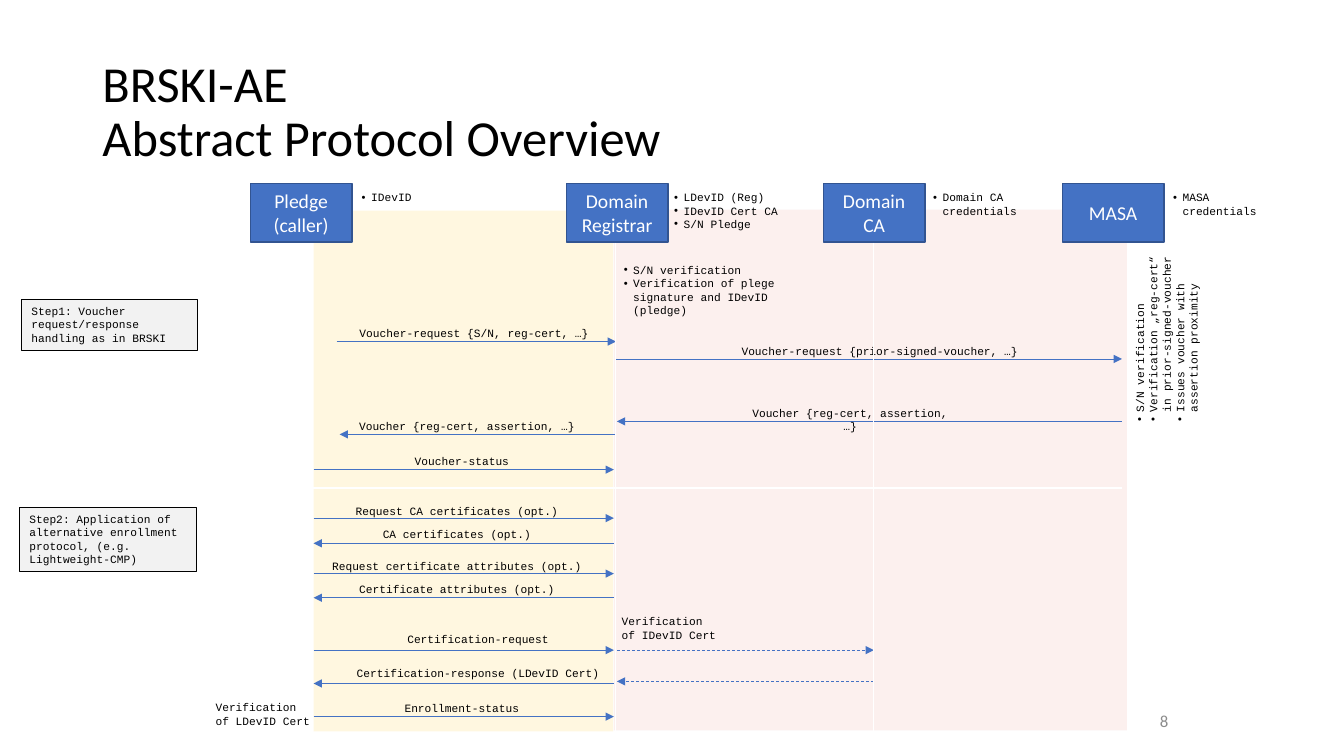
"""Build the BRSKI-AE abstract protocol overview slide."""
from copy import deepcopy
from dataclasses import dataclass

from pptx import Presentation
from pptx.dml.color import RGBColor
from pptx.enum.dml import MSO_LINE
from pptx.enum.shapes import MSO_CONNECTOR as Connector, MSO_SHAPE as Preset
from pptx.enum.text import MSO_ANCHOR as Anchor, MSO_AUTO_SIZE as AutoSize, PP_ALIGN as Align
from pptx.oxml.ns import qn
from pptx.oxml.xmlchemy import OxmlElement
from pptx.shapes.autoshape import Shape
from pptx.slide import Slide
from pptx.text.text import TextFrame
from pptx.util import Pt

BLUE, WHITE, BLACK = "4472C4", "FFFFFF", "000000"
PLEDGE, REGISTRAR, DOMAIN_CA, MASA = 224, 438.5, 624.2, 801.4
REGISTRAR_EDGE = 440.6
SIDE_LABEL_CENTER, ENROLL_CENTER, STATUS_CENTER = 341.6, 326.5, 330


@dataclass
class Lane:
    left: float
    top: float
    width: float
    height: float
    color: str
    opacity: int


@dataclass
class Actor:
    name: str
    left: float


@dataclass
class Note:
    text: str
    left: float
    top: float
    width: float
    height: float
    bulleted: bool = True
    rotation: int = 0


@dataclass
class Message:
    start: float
    end: float
    y: float
    label: str = ""
    center: float = 0
    rise: float = 14.4
    width: float = 202
    dashed: bool = False


@dataclass
class Rule:
    x1: float
    y1: float
    x2: float
    y2: float
    weight: float


LANES = [
    Lane(REGISTRAR, 149.8, 366.5, 372, "F9D9D3", 38),
    Lane(PLEDGE, 150.5, 214, 372, "FFF2CC", 60),
]
ACTORS = [
    Actor("Pledge (caller)", 178.9),
    Actor("Domain Registrar", 404.6),
    Actor("Domain\vCA", 588.2),
    Actor("MASA", 758.9),
]
NOTES = [
    Note("IDevID", 251.3, 132.5, 102, 17),
    Note("LDevID (Reg)\nIDevID Cert CA\nS/N Pledge", 474.5, 132.5, 124, 36),
    Note("Domain CA credentials", 659.5, 132.5, 95, 27),
    Note("MASA credentials", 830.9, 132.5, 77, 27),
    Note("S/N verification\nVerification of plege signature and IDevID (pledge)",
         438.5, 184.3, 143.3, 46),
    Note("S/N verification\nVerification „reg-cert“ in prior-signed-voucher\n"
         "Issues voucher with assertion proximity", 762.5, 209.5, 141.8, 55.4, rotation=270),
    Note("Verification of LDevID Cert", 146.9, 496.8, 82, 27, bulleted=False),
    Note("Verification of IDevID Cert", 437, 435.6, 82, 27, bulleted=False),
]
STEPS = [
    Note("Step1: Voucher request/response handling as in BRSKI",
         15.3, 213.8, 125.5, 36.4, bulleted=False),
    Note("Step2: Application of alternative enrollment protocol, (e.g. Lightweight-CMP)",
         13.9, 362.3, 126.2, 46, bulleted=False),
]
MESSAGES = [
    Message(240.5, 440, 244, "Voucher-request {S/N, reg-cert, …}", 338.8),
    Message(440, MASA, 256.4, "Voucher-request {prior-signed-voucher, …}", 628.6, 13.7, 242),
    Message(MASA, REGISTRAR_EDGE, 301, "Voucher {reg-cert, assertion, …}", 607.3, width=167.5),
    Message(440, 242.6, 310.3, "Voucher {reg-cert, assertion, …}", 333.7),
    Message(PLEDGE, REGISTRAR, 335.5, "Voucher-status", STATUS_CENTER),
    Message(PLEDGE, REGISTRAR, 370.1, "Request CA certificates (opt.)", ENROLL_CENTER, 13.7),
    Message(REGISTRAR, PLEDGE, 388.1, "CA certificates (opt.)", ENROLL_CENTER, 15.1),
    Message(PLEDGE, REGISTRAR, 409.7, "Request certificate attributes (opt.)", ENROLL_CENTER, 13.7),
    Message(REGISTRAR, PLEDGE, 427, "Certificate attributes (opt.)", ENROLL_CENTER),
    Message(PLEDGE, REGISTRAR, 464.4, "Certification-request", SIDE_LABEL_CENTER, 16.6),
    Message(REGISTRAR_EDGE, DOMAIN_CA, 464.4, dashed=True),
    Message(DOMAIN_CA, REGISTRAR_EDGE, 486.7, dashed=True),
    Message(REGISTRAR, PLEDGE, 488.2, "Certification-response (LDevID Cert)", SIDE_LABEL_CENTER, 15.8),
    Message(PLEDGE, REGISTRAR, 511.9, "Enrollment-status", STATUS_CENTER),
]
RULES = [
    Rule(439.2, 173.5, 439.2, 531.4, 0.5),
    Rule(DOMAIN_CA, 173.5, DOMAIN_CA, 531.4, 0.5),
    Rule(142.6, 348.5, MASA, 348.5, 1.75),
]


def rgb(color: str) -> RGBColor:
    """Turn a hex string into a colour."""
    return RGBColor.from_string(color)


def write(frame: TextFrame, text: str, size: float = 8, font: str = "Courier New",
          color: str = BLACK, align: Align = Align.LEFT, anchor: Anchor = Anchor.TOP,
          bulleted: bool = False, fit: bool = True) -> None:
    """Fill a text frame and format its paragraphs and runs."""
    frame.text = text
    frame.word_wrap = True
    frame.auto_size = AutoSize.SHAPE_TO_FIT_TEXT if fit else AutoSize.NONE
    frame.vertical_anchor = anchor
    for para in frame.paragraphs:
        para.alignment = align
        if bulleted:
            add_bullet(para)
        for span in para.runs:
            span.font.size = Pt(size)
            span.font.name = font
            span.font.color.rgb = rgb(color)
        for line_break in para._p.findall(qn("a:br")):
            line_break.append(deepcopy(para.runs[0]._r.rPr))


def add_bullet(para) -> None:
    """Give a paragraph a hanging round bullet."""
    properties = para._p.get_or_add_pPr()
    properties.set("marL", str(Pt(6.75)))
    properties.set("indent", str(-Pt(6.75)))
    for tag, name, value in (("a:buFont", "typeface", "Arial"), ("a:buChar", "char", "•")):
        element = OxmlElement(tag)
        element.set(name, value)
        properties.append(element)


def add_box(page: Slide, left: float, top: float, width: float, height: float,
            fill: str, outline: str = "", weight: float = 1) -> Shape:
    """Add a flat rectangle, outlined when a colour is given."""
    box = page.shapes.add_shape(Preset.RECTANGLE, Pt(left), Pt(top), Pt(width), Pt(height))
    box.shadow.inherit = False
    box.fill.solid()
    box.fill.fore_color.rgb = rgb(fill)
    if outline:
        box.line.color.rgb = rgb(outline)
        box.line.width = Pt(weight)
    else:
        box.line.fill.background()
    return box


def add_lane(page: Slide, lane: Lane) -> None:
    """Add a translucent background lane."""
    box = add_box(page, lane.left, lane.top, lane.width, lane.height, lane.color)
    alpha = OxmlElement("a:alpha")
    alpha.set("val", str(lane.opacity * 1000))
    box._element.spPr.find(qn("a:solidFill"))[0].append(alpha)


def add_line(page: Slide, rule: Rule, color: str, arrow: bool = False,
             dashed: bool = False) -> None:
    """Add a straight line with an optional arrowhead."""
    line = page.shapes.add_connector(
        Connector.STRAIGHT, Pt(rule.x1), Pt(rule.y1), Pt(rule.x2), Pt(rule.y2))
    line.line.color.rgb = rgb(color)
    line.line.width = Pt(rule.weight)
    if dashed:
        line.line.dash_style = MSO_LINE.DASH
    if arrow:
        head = OxmlElement("a:tailEnd")
        head.set("type", "triangle")
        line.line._get_or_add_ln().append(head)
    line._element.spPr.append(OxmlElement("a:effectLst"))


def add_text(page: Slide, left: float, top: float, width: float, height: float) -> Shape:
    """Add an empty text box."""
    return page.shapes.add_textbox(Pt(left), Pt(top), Pt(width), Pt(height))


def add_message(page: Slide, message: Message) -> None:
    """Add a message arrow with its centred label."""
    add_line(page, Rule(message.start, message.y, message.end, message.y, 0.5),
             BLUE, arrow=True, dashed=message.dashed)
    if message.label:
        box = add_text(page, message.center - message.width / 2, message.y - message.rise,
                       message.width, 17)
        write(box.text_frame, message.label, align=Align.CENTER)


def main() -> None:
    """Draw the slide and save it."""
    deck = Presentation()
    deck.slide_width, deck.slide_height = Pt(960), Pt(540)
    page = deck.slides.add_slide(deck.slide_layouts[5])
    title = page.shapes.title
    title.left, title.top, title.width, title.height = Pt(66), Pt(28.8), Pt(828), Pt(104.4)
    write(title.text_frame, "BRSKI-AE\vAbstract Protocol Overview", 36, "Calibri",
          anchor=Anchor.MIDDLE, fit=False)
    title.text_frame.paragraphs[0].line_spacing = 0.9
    for lane in LANES:
        add_lane(page, lane)
    for message in MESSAGES:
        add_message(page, message)
    for actor in ACTORS:
        box = add_box(page, actor.left, 131, 72.5, 42, BLUE, "325491")
        write(box.text_frame, actor.name, 14, "Calibri", WHITE, Align.CENTER, Anchor.MIDDLE, fit=False)
    for rule in RULES:
        add_line(page, rule, WHITE)
    for note in NOTES:
        box = add_text(page, note.left, note.top, note.width, note.height)
        box.rotation = note.rotation
        write(box.text_frame, note.text, bulleted=note.bulleted)
    for step in STEPS:
        box = add_box(page, step.left, step.top, step.width, step.height, "F2F2F2", BLACK, 0.75)
        write(box.text_frame, step.text)
    number = add_text(page, 625.7, 500.4, 216, 28.8)
    write(number.text_frame, "8", 12, "Calibri", "8C8C8C", Align.RIGHT, Anchor.MIDDLE, fit=False)
    deck.save("out.pptx")


if __name__ == "__main__":
    main()
